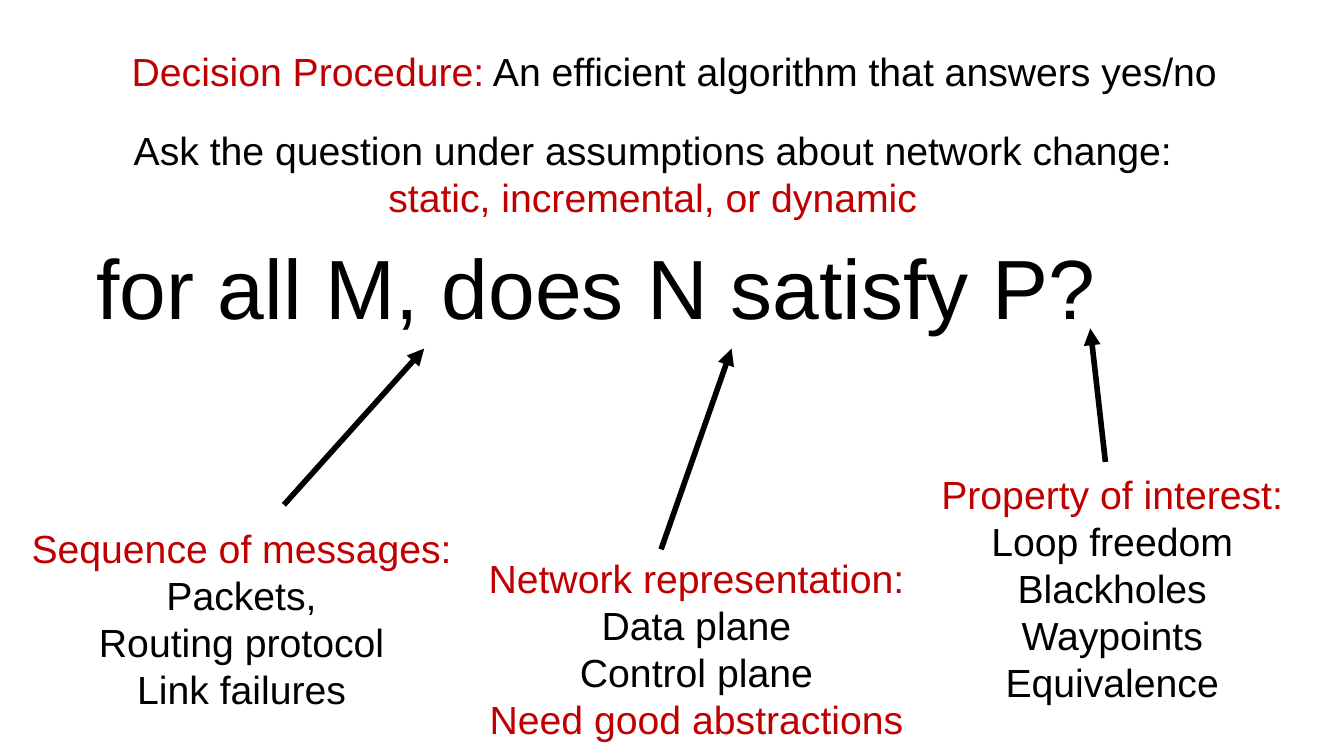
from dataclasses import dataclass

from lxml.etree import SubElement
from pptx import Presentation
from pptx.dml.color import RGBColor as Color
from pptx.enum.shapes import MSO_CONNECTOR as Connector
from pptx.enum.text import MSO_ANCHOR as Anchor, MSO_AUTO_SIZE as AutoSize, PP_ALIGN as Align
from pptx.oxml.ns import qn
from pptx.util import Inches, Pt


@dataclass(frozen=True)
class Theme:
    font: str = "Arial"
    ink: Color = Color(0x00, 0x00, 0x00)
    accent: Color = Color(0xC0, 0x00, 0x00)
    paper: Color = Color(0xFF, 0xFF, 0xFF)
    question_size: int = 60
    body_size: int = 28
    arrow_width: int = 4


class SlideBuilder:
    """Places elements on a grid of 160 columns by 90 rows."""

    COLUMNS, ROWS = 160, 90
    LINE_ROWS, PADDING_ROWS = 5.65, 1.2

    def __init__(self, deck, theme):
        self.theme = theme
        self.column = deck.slide_width / self.COLUMNS
        self.row = deck.slide_height / self.ROWS
        self.page = deck.slides.add_slide(deck.slide_layouts[5])
        fill = self.page.background.fill
        fill.solid()
        fill.fore_color.rgb = theme.paper

    def place(self, column, row):
        return round(column * self.column), round(row * self.row)

    def add_span(self, para, text, color, size):
        span = para.add_run()
        span.text = text
        span.font.name = self.theme.font
        span.font.size = Pt(size)
        span.font.color.rgb = color

    def title(self, column, row, columns, rows, text):
        box = self.page.shapes.title
        box.left, box.top = self.place(column, row)
        box.width, box.height = self.place(columns, rows)
        frame = box.text_frame
        frame.auto_size = AutoSize.NONE
        frame.word_wrap = True
        frame.vertical_anchor = Anchor.BOTTOM
        para = frame.paragraphs[0]
        para.alignment = Align.LEFT
        para.line_spacing = 0.9
        self.add_span(para, text, self.theme.ink, self.theme.question_size)

    def text(self, column, row, columns, lines, align=Align.CENTER):
        """Each line is a list of (text, color) spans; the height follows the line count."""
        rows = len(lines) * self.LINE_ROWS + self.PADDING_ROWS
        box = self.page.shapes.add_textbox(*self.place(column, row), *self.place(columns, rows))
        frame = box.text_frame
        frame.word_wrap = True
        frame.auto_size = AutoSize.SHAPE_TO_FIT_TEXT
        for index, spans in enumerate(lines):
            para = frame.add_paragraph() if index else frame.paragraphs[0]
            para.alignment = align
            for text, color in spans:
                self.add_span(para, text, color, self.theme.body_size)

    def arrow(self, start, end):
        arrow = self.page.shapes.add_connector(
            Connector.STRAIGHT, *self.place(*start), *self.place(*end))
        arrow.line.color.rgb = self.theme.ink
        arrow.line.width = Pt(self.theme.arrow_width)
        SubElement(arrow.line._get_or_add_ln(), qn("a:tailEnd"), type="triangle")
        SubElement(arrow._element.spPr, qn("a:effectLst"))


def main():
    deck = Presentation()
    deck.slide_width, deck.slide_height = Inches(40 / 3), Inches(7.5)
    theme = Theme()
    ink, accent = theme.ink, theme.accent
    slide = SlideBuilder(deck, theme)

    # Central question
    slide.title(10.3, 28.3, 138, 12.5, "for all M, does N satisfy P?")

    # Explanations of M, N and P: arrow start, arrow end, box (column, row, columns), lines
    explanations = [
        ((33.8, 60.1), (50.5, 41.5), (1.2, 61.8, 55.1), [
            ("Sequence of messages:", accent), ("Packets,", ink),
            ("Routing protocol", ink), ("Link failures", ink)]),
        ((78.7, 65.4), (87.1, 41.5), (56.8, 65.4, 52.2), [
            ("Network representation:", accent), ("Data plane", ink),
            ("Control plane", ink), ("Need good abstractions", accent)]),
        ((131.6, 55), (129.8, 39.1), (106.3, 55.4, 52.2), [
            ("Property of interest:", accent), ("Loop freedom", ink),
            ("Blackholes", ink), ("Waypoints", ink), ("Equivalence", ink)]),
    ]
    for start, end, area, lines in explanations:
        slide.arrow(start, end)
        slide.text(*area, [[line] for line in lines])

    # Definition and assumptions above the question
    slide.text(14.5, 5, 132.8, [[
        ("Decision Procedure:", accent),
        (" An efficient algorithm that answers yes/no", ink)]], Align.LEFT)
    slide.text(14.5, 14.4, 126.4, [
        [("Ask the question under assumptions about network change:", ink)],
        [("static, incremental, or dynamic", accent)]])

    deck.save("out.pptx")


if __name__ == "__main__":
    main()
